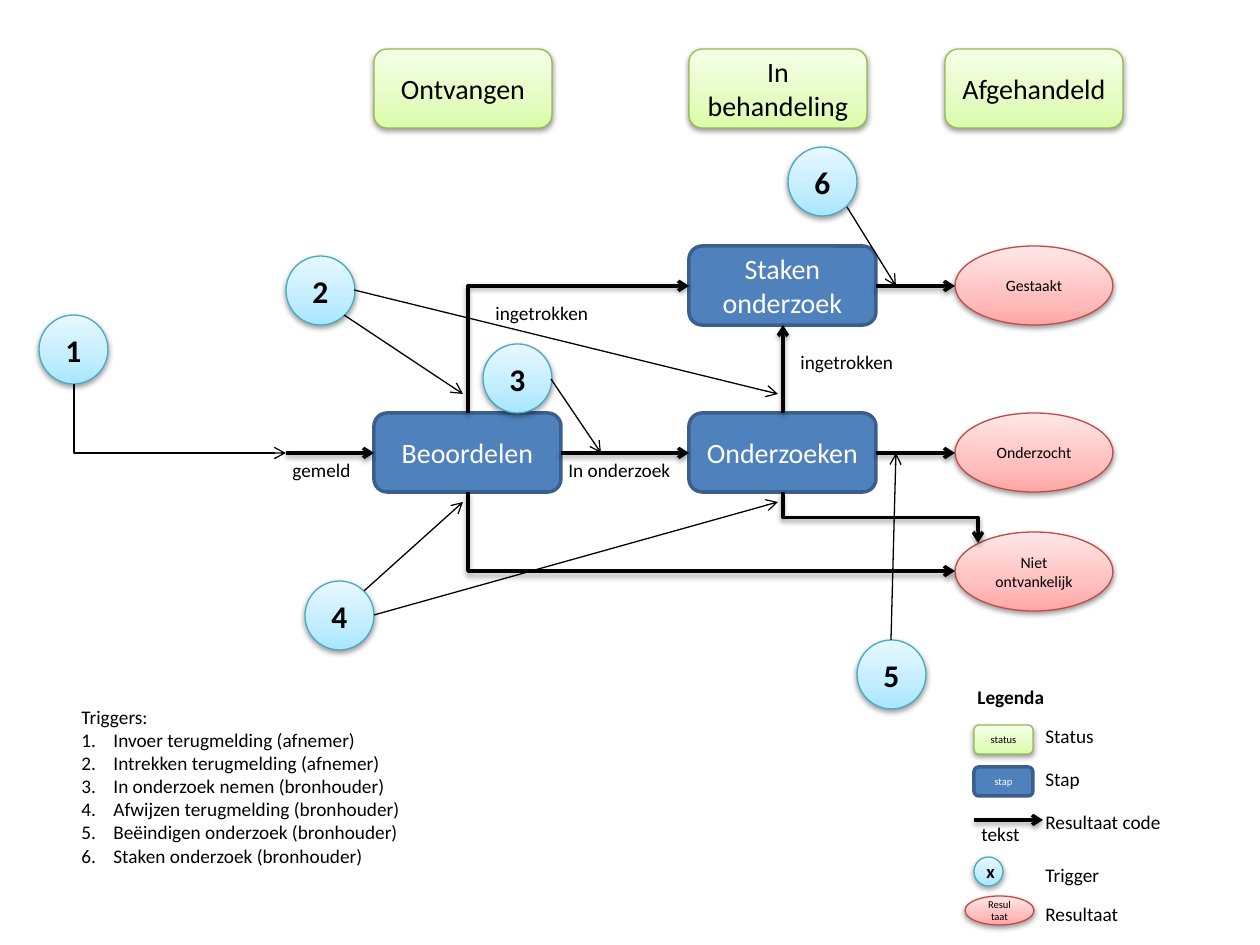
from copy import deepcopy
from lxml import etree
from pptx import Presentation
from pptx.dml.color import RGBColor
from pptx.enum.shapes import MSO_CONNECTOR, MSO_SHAPE
from pptx.enum.text import MSO_ANCHOR, PP_ALIGN
from pptx.oxml.ns import qn
from pptx.util import Pt

PIXEL = 914400 // 126
ROUNDED, OVAL = MSO_SHAPE.ROUNDED_RECTANGLE, MSO_SHAPE.OVAL
STRAIGHT, ELBOW = MSO_CONNECTOR.STRAIGHT, MSO_CONNECTOR.ELBOW
CENTER, MIDDLE = PP_ALIGN.CENTER, MSO_ANCHOR.MIDDLE
FONT = "Calibri"
COLORS = {"black": "000000", "white": "FFFFFF"}
STYLES = {
    "step": {"form": ROUNDED, "fill": ["4F81BD"], "line": "3A5F8C", "weight": 2, "ink": "white", "bold": False},
    "status": {"form": ROUNDED, "fill": ["DAFDA7", "E4FCC2", "F5FFE7"], "line": "98B955", "weight": 0.75,
               "ink": "black", "bold": False},
    "trigger": {"form": OVAL, "fill": ["A7E6FF", "C1EDFF", "E7F8FF"], "line": "46AAC5", "weight": 0.75,
                "ink": "black", "bold": True},
    "result": {"form": OVAL, "fill": ["FFA6A5", "FFC0BF", "FFE7E7"], "line": "BF4C48", "weight": 0.75,
               "ink": "black", "bold": False},
}
SHADOW = etree.fromstring(
    '<a:effectLst xmlns:a="http://schemas.openxmlformats.org/drawingml/2006/main">'
    '<a:outerShdw blurRad="40000" dist="20000" dir="5400000" rotWithShape="0">'
    '<a:srgbClr val="000000"><a:alpha val="38000"/></a:srgbClr></a:outerShdw></a:effectLst>')

deck = Presentation()
deck.slide_width, deck.slide_height = 1260 * PIXEL, 945 * PIXEL
page = deck.slides.add_slide(deck.slide_layouts[6])


def write(para, text, size, color="black", bold=False):
    span = para.add_run()
    span.text = text
    span.font.name, span.font.size, span.font.bold = FONT, Pt(size), bold
    span.font.color.rgb = RGBColor.from_string(COLORS[color])


def arrow(start, end, weight, kind="straight"):
    (x1, y1), (x2, y2) = start, end
    if kind != "straight":
        across, down = x2 - x1, y2 - y1
        middle_x, middle_y = (x1 + x2) / 2, (y1 + y2) / 2
        x1, x2 = middle_x + abs(down) / 2, middle_x - abs(down) / 2
        rise = across / 2 if down < 0 else -across / 2
        y1, y2 = middle_y + rise, middle_y - rise
    line = page.shapes.add_connector(STRAIGHT if kind == "straight" else ELBOW,
                                     *[int(value * PIXEL) for value in (x1, y1, x2, y2)])
    properties = line._element.spPr
    if kind != "straight":
        properties.find(qn("a:xfrm")).set("rot", "16200000" if down > 0 else "5400000")
        properties.find(qn("a:prstGeom")).set("prst", kind)
    line.line.width = Pt(weight)
    line.line.color.rgb = RGBColor.from_string(COLORS["black"])
    etree.SubElement(properties.find(qn("a:ln")), qn("a:tailEnd"), type="arrow")
    if weight == 2:
        properties.append(deepcopy(SHADOW))
    else:
        etree.SubElement(properties, qn("a:effectLst"))


receive_x, handle_x, result_x = 374, 689, 955
stop_y, assess_y, reject_y = 246, 413, 532
step_width, result_width, height = 187, 158, 79
stop_line, main_line, reject_line = 286, 453, 571
receive_axis, handle_axis = 468, 783

nodes = [
    ("step", "Beoordelen", receive_x, assess_y, step_width, height, 16),
    ("step", "Staken onderzoek", handle_x, stop_y, step_width, height, 16),
    ("step", "Onderzoeken", handle_x, assess_y, step_width, height, 16),
    ("result", "Gestaakt", result_x, stop_y, result_width, height, 9),
    ("result", "Onderzocht", result_x, assess_y, result_width, height, 9),
    ("result", "Niet ontvankelijk", result_x, reject_y, result_width, height, 9),
    ("status", "status", 974, 725, 59, 29, 6),
    ("step", "stap", 974, 767, 59, 29, 6),
    ("trigger", "x", 974, 857, 29, 29, 10.5),
    ("result", "Resultaat", 965, 896, 69, 29, 6),
]
for text, left in [("Ontvangen", receive_x), ("In behandeling", handle_x), ("Afgehandeld", 945)]:
    nodes.append(("status", text, left, 49, 178, height, 16))
trigger_places = [(39, 315), (286, 256), (483, 344), (305, 581), (857, 640), (788, 147)]
for number, (left, top) in enumerate(trigger_places, 1):
    nodes.append(("trigger", str(number), left, top, 69, 69, 18))

for style_name, text, *place, size in nodes:
    style = STYLES[style_name]
    shape = page.shapes.add_shape(style["form"], *[value * PIXEL for value in place])
    shape.shadow.inherit = False
    if len(style["fill"]) == 1:
        shape.fill.solid()
        shape.fill.fore_color.rgb = RGBColor.from_string(style["fill"][0])
    else:
        shape.fill.gradient()
        shape.fill.gradient_angle = 90
        stop_list = shape._element.spPr.find(".//" + qn("a:gsLst"))
        stop_list.append(deepcopy(stop_list[0]))
        for stop, color, position in zip(shape.fill.gradient_stops, style["fill"], (0, 0.35, 1)):
            stop.color.rgb = RGBColor.from_string(color)
            stop.position = position
    shape.line.color.rgb = RGBColor.from_string(style["line"])
    shape.line.width = Pt(style["weight"])
    if style_name != "step":
        properties = shape._element.spPr
        properties.replace(properties.find(qn("a:effectLst")), deepcopy(SHADOW))
    shape.text_frame.vertical_anchor = MIDDLE
    para = shape.text_frame.paragraphs[0]
    para.alignment = CENTER
    write(para, text, size, style["ink"], style["bold"])

for start, end, weight, kind in [
    ((286, main_line), (receive_x, main_line), 2, "straight"),
    ((561, main_line), (handle_x, main_line), 2, "straight"),
    ((876, main_line), (result_x, main_line), 2, "straight"),
    ((876, stop_line), (result_x, stop_line), 2, "straight"),
    ((handle_axis, assess_y), (handle_axis, 325), 2, "straight"),
    ((974, 820), (1043, 820), 2, "straight"),
    ((receive_axis, assess_y), (handle_x, stop_line), 2, "bentConnector2"),
    ((receive_axis, 492), (result_x, reject_line), 2, "bentConnector2"),
    ((handle_axis, 492), (978, 543), 2, "bentConnector3"),
    ((74, 384), (286, main_line), 0.75, "bentConnector2"),
    ((344, 315), (463, 394), 0.75, "straight"),
    ((354, 290), (778, 394), 0.75, "straight"),
    ((551, 379), (601, main_line), 0.75, "straight"),
    ((364, 591), (463, 502), 0.75, "straight"),
    ((374, 615), (778, 502), 0.75, "straight"),
    ((891, 640), (896, main_line), 0.75, "straight"),
    ((847, 207), (896, stop_line), 0.75, "straight"),
]:
    arrow(start, end, weight, kind)

legend_x = 1033
labels = [
    (["ingetrokken"], 483, 295, 120, 36),
    (["ingetrokken"], 788, 344, 120, 36),
    (["gemeld"], 280, 452, 84, 36),
    (["In onderzoek"], 556, 452, 129, 36),
    (["Legenda"], 965, 679, 92, 36),
    (["Status"], legend_x, 718, 74, 36),
    (["Stap"], legend_x, 761, 62, 36),
    (["Resultaat code"], legend_x, 804, 142, 36),
    (["tekst"], 969, 816, 64, 36),
    (["Trigger"], legend_x, 857, 81, 36),
    (["Resultaat"], legend_x, 896, 100, 36),
    (["Triggers:", "Invoer terugmelding (afnemer)", "Intrekken terugmelding (afnemer)",
      "In onderzoek nemen (bronhouder)", "Afwijzen terugmelding (bronhouder)",
      "Beëindigen onderzoek (bronhouder)", "Staken onderzoek (bronhouder)"], 69, 699, 347, 199),
]
for texts, *place in labels:
    box = page.shapes.add_textbox(*[value * PIXEL for value in place])
    frame = box.text_frame
    frame.word_wrap = False
    for index, text in enumerate(texts):
        para = frame.add_paragraph() if index else frame.paragraphs[0]
        if index:
            settings = para._p.get_or_add_pPr()
            settings.set("marL", str(32 * PIXEL))
            settings.set("indent", str(-32 * PIXEL))
            etree.SubElement(settings, qn("a:buAutoNum"), type="arabicPeriod")
        write(para, text, 11, bold=text == "Legenda")

deck.save("out.pptx")
